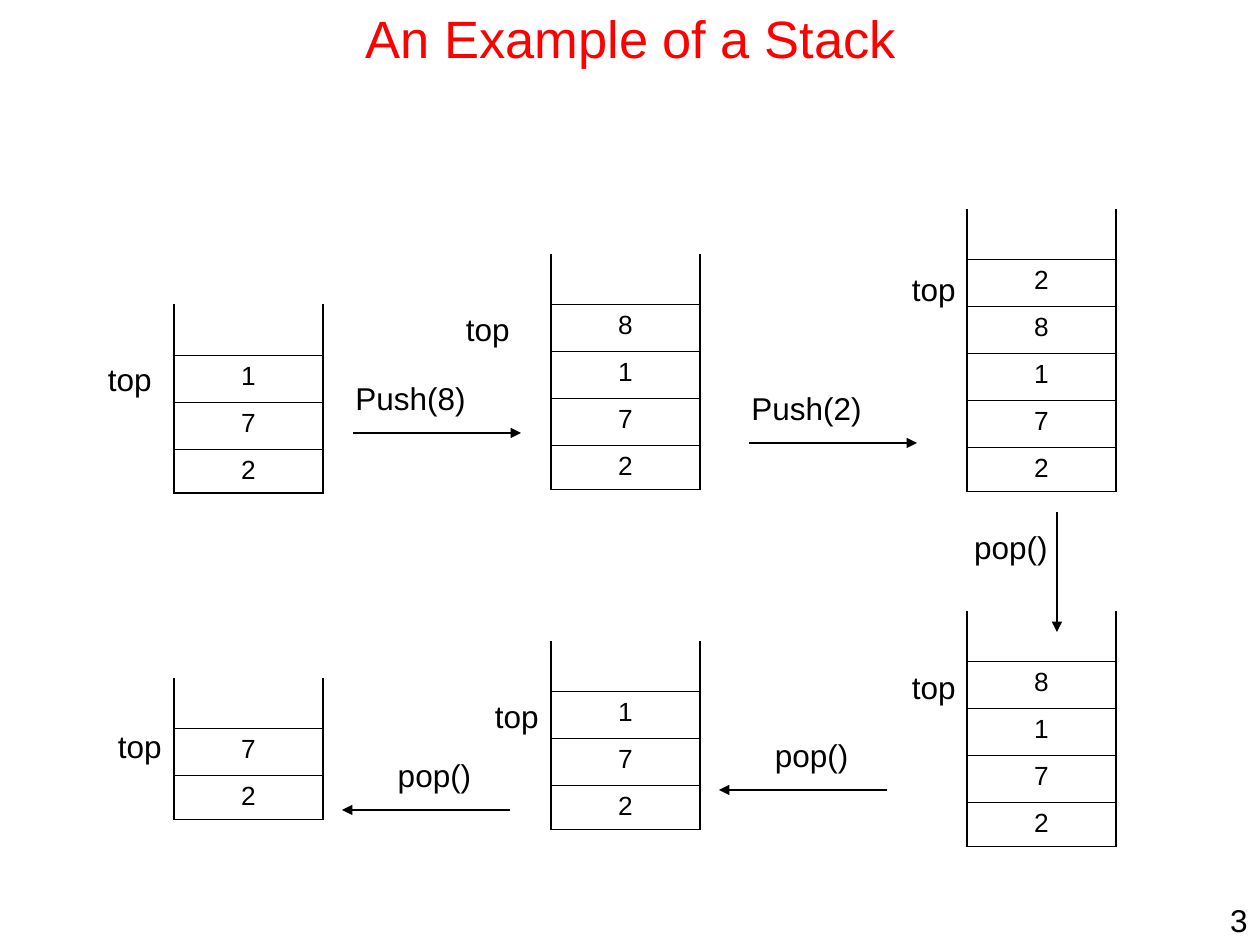
from lxml.etree import SubElement
from pptx import Presentation
from pptx.dml.color import RGBColor
from pptx.enum.shapes import MSO_CONNECTOR
from pptx.enum.text import MSO_ANCHOR, PP_ALIGN
from pptx.oxml.ns import qn
from pptx.util import Pt

SCALE = 914400 / 126  # EMU in one px
FONT = "Arial"
BLACK, RED = "000000", "FF0000"
LEFT, MID, RIGHT = PP_ALIGN.LEFT, PP_ALIGN.CENTER, PP_ALIGN.RIGHT
WIDE, HEAD, ROW, LAST = 149, 50, 47, 44  # cell sizes of a stack


def px(*vals):
    return [round(v * SCALE) for v in vals]


def hue(code):
    return RGBColor.from_string(code)


def write(frame, text, size=18, color=BLACK, align=LEFT):
    para = frame.paragraphs[0]
    para.alignment = align
    run = para.add_run()
    run.text = text
    run.font.name = FONT
    run.font.size = Pt(size)
    run.font.color.rgb = hue(color)


def label(slide, box, text, **form):
    frame = slide.shapes.add_textbox(*px(*box)).text_frame
    frame.word_wrap = True
    write(frame, text, **form)


def title(slide, box, text):
    shape = slide.shapes.title
    shape.left, shape.top, shape.width, shape.height = px(*box)
    shape.text_frame.vertical_anchor = MSO_ANCHOR.MIDDLE
    write(shape.text_frame, text, size=30, color=RED, align=MID)


def edge(cell, side, width):
    """Draw one border of a cell; width 0 leaves it open."""
    line = SubElement(cell._tc.get_or_add_tcPr(), qn(f"a:{side}"), w=str(Pt(width)))
    if width:
        fill = SubElement(line, qn("a:solidFill"))
        SubElement(fill, qn("a:srgbClr"), val=BLACK)
    else:
        SubElement(line, qn("a:noFill"))


def stack(slide, x, y, items, tag):
    """Stack open at the top; tag is the offset of the word top."""
    count = len(items) + 1
    high = [HEAD] + [ROW] * (count - 2) + [LAST]
    table = slide.shapes.add_table(count, 1, *px(x, y, WIDE, sum(high))).table
    table.first_row = table.horz_banding = False
    for i, text in enumerate([""] + items):
        table.rows[i].height = px(high[i])[0]
        cell = table.cell(i, 0)
        edge(cell, "lnL", 1.08)
        edge(cell, "lnR", 1.08)
        edge(cell, "lnT", 0.45 if i else 0)
        edge(cell, "lnB", 1.08 if i == count - 1 else 0.45)
        cell.fill.background()
        if text:
            write(cell.text_frame, text, size=15, align=MID)
    dx, dy = tag
    label(slide, (x + dx, y + dy, 100, 50), "top", align=RIGHT)


def arrow(shapes, *ends):
    line = shapes.add_connector(MSO_CONNECTOR.STRAIGHT, *px(*ends))
    line.line.color.rgb = hue(BLACK)
    line.line.width = Pt(0.75)
    SubElement(line.line._get_or_add_ln(), qn("a:tailEnd"), type="triangle")
    SubElement(line._element.spPr, qn("a:effectLst"))


def push(slide, x, y, text):
    arrow(slide.shapes, x, y, x + 168, y)
    label(slide, (x - 10, y - 60, 171, 50), text)


def pop(slide, x, y):
    arrow(slide.shapes, x + 168, y, x, y)
    label(slide, (x + 7, y - 60, 171, 50), "pop()", align=MID)


def drop(slide, x, y):
    arrow(slide.shapes, x, y, x, y + 120)
    label(slide, (x - 97, y + 10, 100, 50), "pop()", align=RIGHT)


def main():
    deck = Presentation()
    deck.slide_width, deck.slide_height = px(1260, 945)
    slide = deck.slides.add_slide(deck.slide_layouts[5])
    title(slide, (64, 0, 1134, 76), "An Example of a Stack")

    # Upper row: pushing
    stack(slide, 174, 304, ["1", "7", "2"], (-110, 50))
    push(slide, 353, 433, "Push(8)")
    stack(slide, 551, 254, ["8", "1", "7", "2"], (-129, 50))
    push(slide, 749, 443, "Push(2)")
    stack(slide, 967, 209, ["2", "8", "1", "7", "2"], (-99, 55))

    # Lower row: popping, from right to left
    drop(slide, 1057, 512)
    stack(slide, 967, 611, ["8", "1", "7", "2"], (-99, 51))
    pop(slide, 719, 790)
    stack(slide, 551, 641, ["1", "7", "2"], (-100, 50))
    pop(slide, 342, 810)
    stack(slide, 174, 678, ["7", "2"], (-100, 43))

    # Page number
    label(slide, (1170, 895, 90, 50), "3", align=RIGHT)
    deck.save("out.pptx")


if __name__ == "__main__":
    main()
